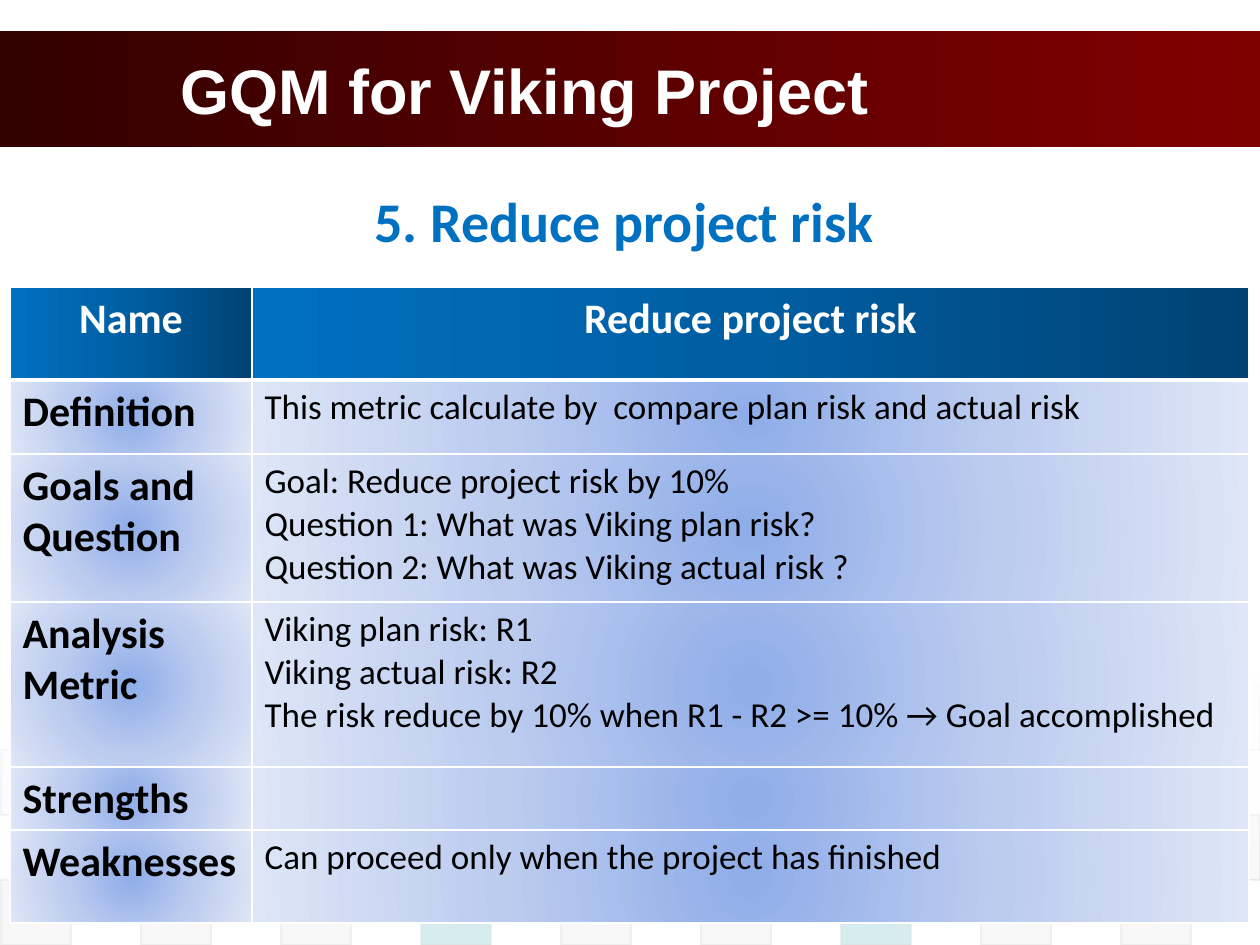
"""Build the slide on the risk reduction goal of the Viking project."""
from lxml.etree import SubElement
from pptx import Presentation
from pptx.dml.color import RGBColor
from pptx.enum.shapes import MSO_SHAPE as Shape
from pptx.enum.text import MSO_ANCHOR as Anchor, PP_ALIGN as Align
from pptx.oxml import parse_xml
from pptx.oxml.ns import nsdecls, qn
from pptx.util import Emu, Pt

WHITE = RGBColor(0xFF, 0xFF, 0xFF)
BLACK = RGBColor(0, 0, 0)
BLUE = RGBColor(0x00, 0x70, 0xC0)
MID_BLUE = RGBColor(0x00, 0x5E, 0xA2)
DARK_BLUE = RGBColor(0x00, 0x42, 0x72)
DARK_RED = RGBColor(0x33, 0x00, 0x00)
RED = RGBColor(0x80, 0x00, 0x00)
GREY = RGBColor(0xDD, 0xDD, 0xDD)
PALE = RGBColor(0xEA, 0xEA, 0xEA)
TEAL = RGBColor(0x38, 0xA3, 0xB2)
GOLD = RGBColor(0xD3, 0xA9, 0x11)
GLOW = RGBColor(0x8F, 0xAD, 0xE9)
GLOW_MID = RGBColor(0xBC, 0xCC, 0xEF)
GLOW_EDGE = RGBColor(0xDE, 0xE6, 0xF7)

TITLE = "GQM for Viking Project"
SUBTITLE = "5. Reduce project risk"
METRIC = [
    ("Name", ["Reduce project risk"]),
    ("Definition", ["This metric calculate by  compare plan risk and actual risk"]),
    ("Goals and Question", ["Goal: Reduce project risk by 10%",
                            "Question 1: What was Viking plan risk?",
                            "Question 2: What was Viking actual risk ?"]),
    ("Analysis Metric", ["Viking plan risk: R1", "Viking actual risk: R2",
                         "The risk reduce by 10% when R1 - R2 >= 10% → Goal accomplished"]),
    ("Strengths", []),
    ("Weaknesses", ["Can proceed only when the project has finished"]),
]
COLUMN_WIDTHS = [242, 997]
ROW_HEIGHTS = [93, 74, 148, 165, 58, 93]

TILE_COLOURS = {"g": GREY, "p": PALE, "t": TEAL, "y": GOLD}
TILE_ROWS = [("tpptgtpyp", 5, 70), ("ggggygggt", 10, 1),
             ("gyggggygg", 20, 70), ("gggtggtgg", 20, 1)]
TILE_TOP, TILE_WIDTH, TILE_HEIGHT, TILE_PITCH = 685, 70, 65, 140


def px(count):
    return Emu(round(count * 914400 / 126))


def gradient(stops, angle=None):
    marks = "".join(
        f'<a:gs pos="{pos * 1000}"><a:srgbClr val="{colour}">'
        f'<a:alpha val="{alpha * 1000}"/></a:srgbClr></a:gs>'
        for pos, colour, alpha in stops)
    if angle is None:
        course = ('<a:path path="circle"><a:fillToRect l="50000" t="50000" '
                  'r="50000" b="50000"/></a:path>')
    else:
        course = f'<a:lin ang="{angle * 60000}" scaled="0"/>'
    return parse_xml(f'<a:gradFill {nsdecls("a")} rotWithShape="1">'
                     f'<a:gsLst>{marks}</a:gsLst>{course}</a:gradFill>')


def add_rect(slide, *box):
    rect = slide.shapes.add_shape(Shape.RECTANGLE, *map(px, box))
    rect.shadow.inherit = False
    return rect


def add_band(slide, box, stops, angle):
    band = add_rect(slide, *box)
    band.line.fill.background()
    band._element.spPr.find(qn("a:prstGeom")).addnext(gradient(stops, angle))


def set_alpha(fill_parent, percent):
    colour = fill_parent.find(qn("a:solidFill"))[0]
    SubElement(colour, qn("a:alpha")).set("val", str(percent * 1000))


def add_tiles(slide):
    for row, (colours, opacity, left) in enumerate(TILE_ROWS):
        for column, key in enumerate(colours):
            tile = add_rect(slide, left + column * TILE_PITCH,
                            TILE_TOP + row * TILE_HEIGHT, TILE_WIDTH, TILE_HEIGHT)
            tile.fill.solid()
            tile.fill.fore_color.rgb = TILE_COLOURS[key]
            tile.line.color.rgb = GREY
            tile.line.width = Pt(0.75)
            set_alpha(tile._element.spPr, opacity)
            set_alpha(tile.line._ln, 60)


def write(frame, lines, size, colour, bold=False, align=Align.LEFT, font="Calibri"):
    frame.word_wrap = True
    frame.text = "\n".join(lines)
    for paragraph in frame.paragraphs:
        paragraph.alignment = align
        paragraph.font.size = Pt(size)
        for run in paragraph.runs:
            run.font.name = font
            run.font.size = Pt(size)
            run.font.bold = bold
            run.font.color.rgb = colour


def add_heading(slide, box, text, size, colour, **style):
    heading = slide.shapes.add_textbox(*map(px, box))
    write(heading.text_frame, [text], size, colour, bold=True, **style)
    heading.text_frame.vertical_anchor = Anchor.MIDDLE


def style_cell(cell, row):
    properties = cell._tc.get_or_add_tcPr()
    widths = {"lnL": 1, "lnR": 1, "lnT": 3 if row == 1 else 1, "lnB": 3 if row == 0 else 1}
    for side, width in widths.items():
        properties.append(parse_xml(
            f'<a:{side} {nsdecls("a")} w="{Pt(width)}"><a:solidFill>'
            f'<a:srgbClr val="{WHITE}"/></a:solidFill></a:{side}>'))
    if row == 0:
        fill = gradient([(0, DARK_BLUE, 100), (50, MID_BLUE, 100), (100, BLUE, 100)], 180)
    else:
        fill = gradient([(0, GLOW, 100), (50, GLOW_MID, 100), (100, GLOW_EDGE, 100)])
    properties.append(fill)


def add_metric_table(slide):
    table = slide.shapes.add_table(
        len(METRIC), 2, px(10), px(287),
        px(sum(COLUMN_WIDTHS)), px(sum(ROW_HEIGHTS))).table
    for column, width in zip(table.columns, COLUMN_WIDTHS):
        column.width = px(width)
    for row, (label, details) in enumerate(METRIC):
        table.rows[row].height = px(ROW_HEIGHTS[row])
        header = row == 0
        colour = WHITE if header else BLACK
        align = Align.CENTER if header else Align.LEFT
        label_cell, detail_cell = table.cell(row, 0), table.cell(row, 1)
        write(label_cell.text_frame, [label], 24, colour, True, align)
        write(detail_cell.text_frame, details, 24 if header else 20, colour, header, align)
        for cell in (label_cell, detail_cell):
            style_cell(cell, row)


def main():
    deck = Presentation()
    deck.slide_width, deck.slide_height = px(1260), px(945)
    slide = deck.slides.add_slide(deck.slide_layouts[6])
    add_band(slide, (0, 31, 1260, 116), [(0, DARK_RED, 100), (100, RED, 100)], 0)
    add_tiles(slide)
    add_band(slide, (0, 677, 1260, 204), [(0, WHITE, 90), (100, WHITE, 0)], 90)
    add_heading(slide, (168, 31, 1018, 116), TITLE, 36, WHITE, font="Arial")
    add_heading(slide, (199, 184, 851, 73), SUBTITLE, 32, BLUE, align=Align.CENTER)
    add_metric_table(slide)
    deck.save("out.pptx")


if __name__ == "__main__":
    main()
